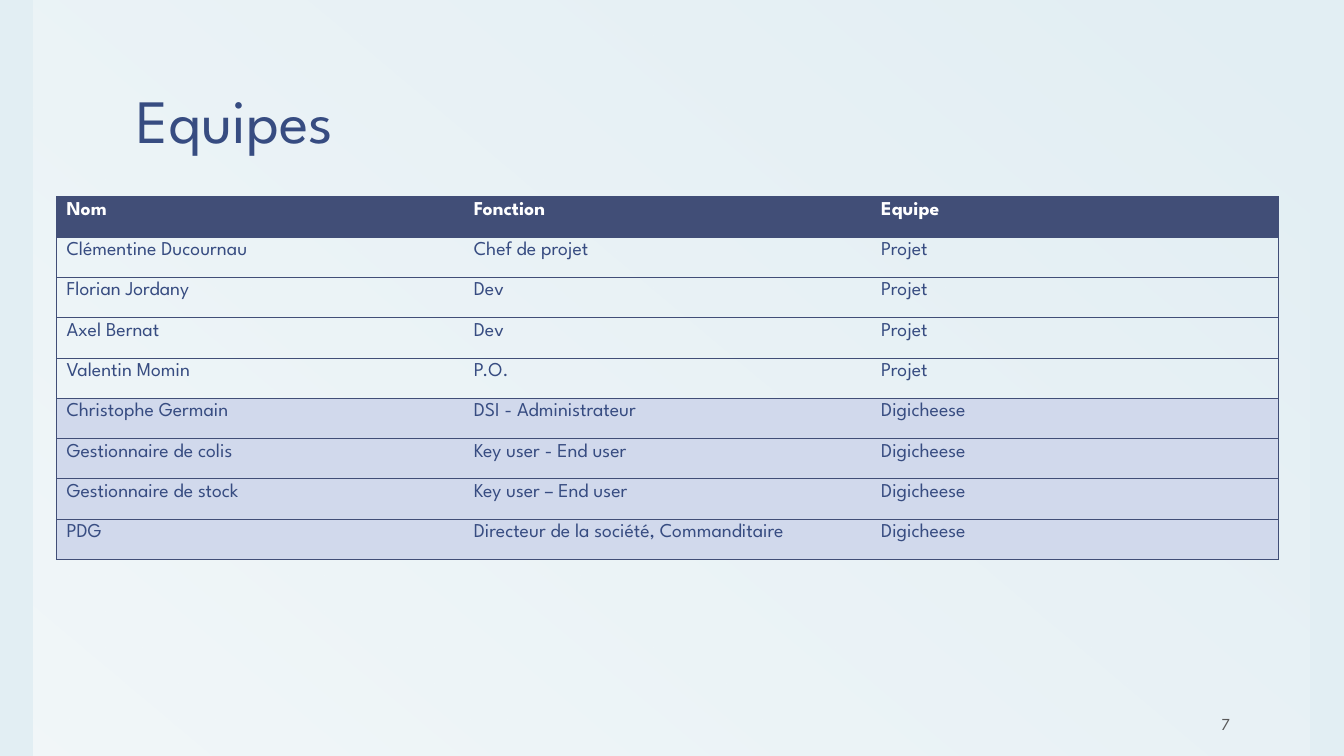
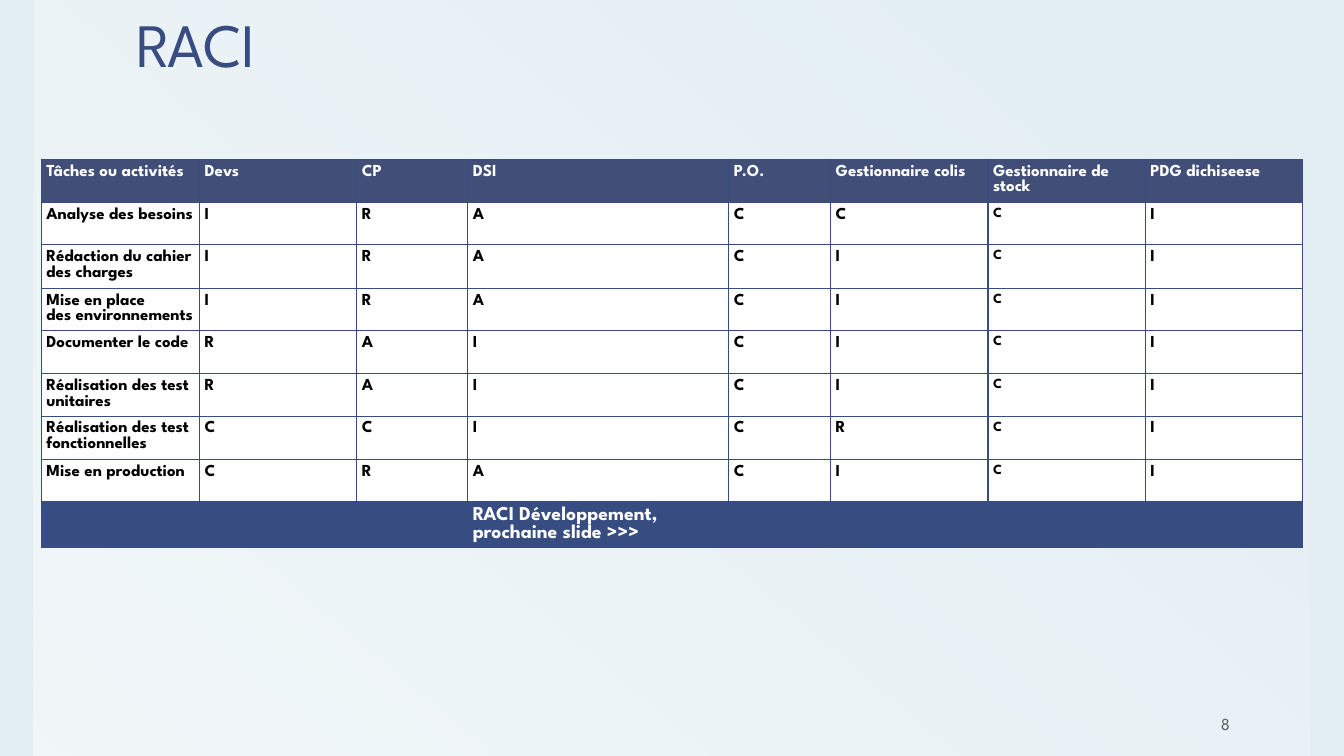
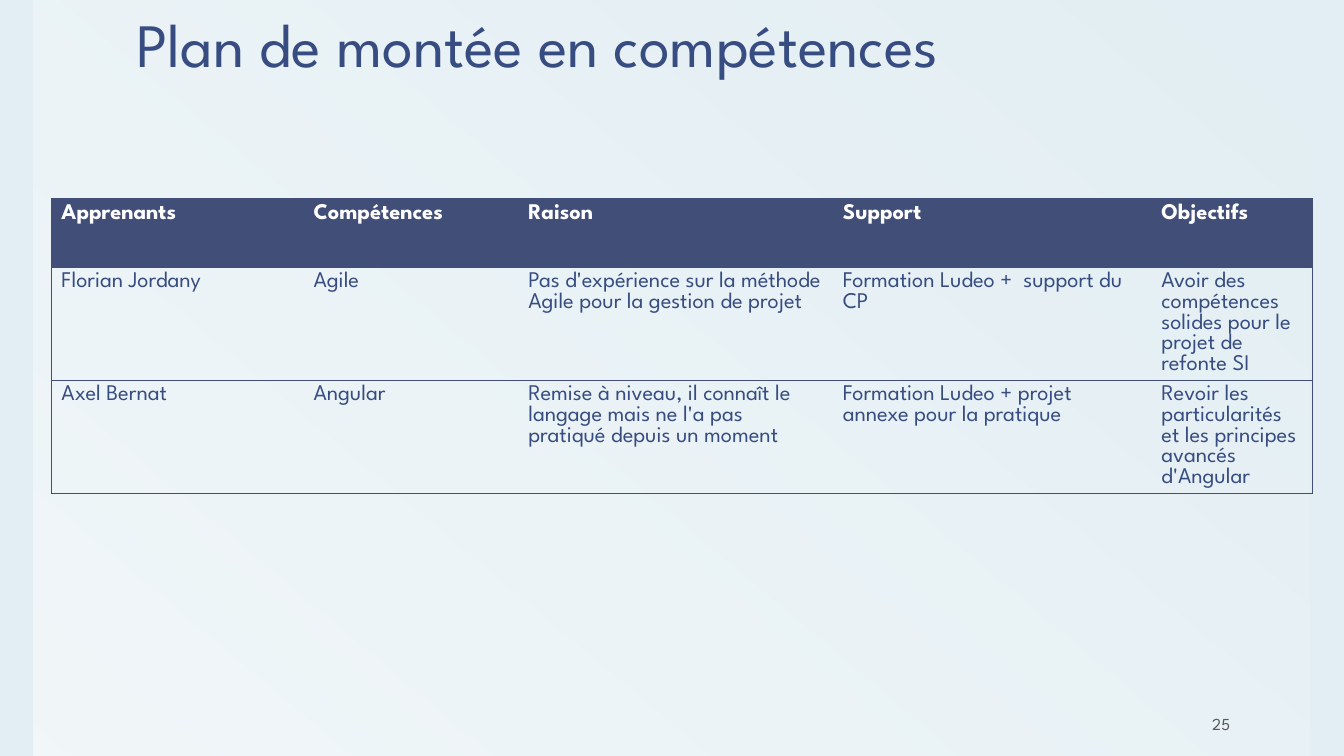
"""Build three project slides: teams, RACI matrix and training plan."""
import pptx
import pptx.dml.color
import pptx.enum.shapes
import pptx.enum.text
import pptx.oxml
import pptx.oxml.ns
import pptx.util

Inches = pptx.util.Inches
Pt = pptx.util.Pt
RGBColor = pptx.dml.color.RGBColor
Align = pptx.enum.text.PP_ALIGN
Anchor = pptx.enum.text.MSO_ANCHOR
qn = pptx.oxml.ns.qn

FONT = "League Spartan"
LINE_HEIGHT = 0.92
BACKGROUND = RGBColor(0xE2, 0xEE, 0xF3)
NAVY = RGBColor(0x37, 0x4C, 0x81)
HEADER = RGBColor(0x41, 0x4E, 0x77)
LAVENDER = RGBColor(0xD1, 0xD9, 0xEC)
GRAY = RGBColor(0x59, 0x59, 0x59)
WHITE = RGBColor(0xFF, 0xFF, 0xFF)
BLACK = RGBColor(0x00, 0x00, 0x00)
PLAIN_TABLE_STYLE = "{2D5ABB26-0587-4C30-8999-92F81FD0307C}"

TEAM_ROWS = [
    ["Nom", "Fonction", "Equipe"],
    ["Clémentine Ducournau", "Chef de projet", "Projet"],
    ["Florian Jordany", "Dev", "Projet"],
    ["Axel Bernat", "Dev", "Projet"],
    ["Valentin Momin", "P.O.", "Projet"],
    ["Christophe Germain", "DSI - Administrateur", "Digicheese"],
    ["Gestionnaire de colis", "Key user - End user", "Digicheese"],
    ["Gestionnaire de stock", "Key user – End user", "Digicheese"],
    ["PDG", "Directeur de la société, Commanditaire", "Digicheese"],
]
RACI_ROWS = [
    ["Tâches ou activités", "Devs", "CP", "DSI", "P.O.", "Gestionnaire colis",
     "Gestionnaire de stock", "PDG dichiseese"],
    ["Analyse des besoins", *"IRACCCI"],
    ["Rédaction du cahier des charges", *"IRACICI"],
    ["Mise en place\ndes environnements", *"IRACICI"],
    ["Documenter le code", *"RAICICI"],
    ["Réalisation des test unitaires", *"RAICICI"],
    ["Réalisation des test fonctionnelles", *"CCICRCI"],
    ["Mise en production", *"CRACICI"],
    ["", "", "", "RACI Développement, prochaine slide >>>", "", "", "", ""],
]
TRAINING_ROWS = [
    ["Apprenants", "Compétences", "Raison", "Support", "Objectifs"],
    ["Florian Jordany", "Agile",
     "Pas d'expérience sur la méthode Agile pour la gestion de projet",
     "Formation Ludeo +  support du CP",
     "Avoir des compétences solides pour le projet de refonte SI"],
    ["Axel Bernat", "Angular",
     "Remise à niveau, il connaît le langage mais ne l'a pas pratiqué depuis un moment",
     "Formation Ludeo + projet annexe pour la pratique",
     "Revoir les particularités et les principes avancés d'Angular"],
]

SLIDES = [
    dict(title="Equipes", title_bottom=1.62, number="7", rows=TEAM_ROWS, left=0.56, top=1.95,
         widths=[4.04] * 3, heights=[0.4] * 9, size=14, text=NAVY, bold=False,
         fills=[HEADER] + [None] * 4 + [LAVENDER] * 4, line=HEADER, line_width=0.5, grid=False),
    dict(title="RACI", title_bottom=0.86, number="8", rows=RACI_ROWS, left=0.41, top=1.58,
         widths=[1.57, 1.56, 1.1, 2.59, 1.01, 1.56, 1.56, 1.56],
         heights=[0.43, 0.42] * 4 + [0.46],
         size=12, text=BLACK, bold=True, fills=[HEADER] + [WHITE] * 7 + [NAVY],
         line=NAVY, line_width=1, grid=True),
    dict(title="Plan de montée en compétences", title_bottom=0.86, number="25",
         rows=TRAINING_ROWS, left=0.51, top=1.97, widths=[2.5, 2.13, 3.12, 3.16, 1.6],
         heights=[0.68, 1.12, 1.12], size=16, text=NAVY, bold=False,
         fills=[HEADER, None, None], line=HEADER, line_width=0.5, grid=False),
]


def write(frame, text, size, color, bold=False):
    """Put styled text in the first paragraph and return the paragraph."""
    para = frame.paragraphs[0]
    for index, line in enumerate(text.split("\n")):
        if index:
            para.add_line_break()
        span = para.add_run()
        span.text = line
        span.font.name = FONT
        span.font.size = Pt(size)
        span.font.color.rgb = color
        span.font.bold = bold
    return para


def add_text_box(page, left, bottom, width, height, text, size, color):
    """Add a bottom-anchored text box and return its paragraph."""
    box = page.shapes.add_textbox(Inches(left), Inches(bottom - height),
                                  Inches(width), Inches(height))
    frame = box.text_frame
    frame.word_wrap = True
    frame.vertical_anchor = Anchor.BOTTOM
    frame.margin_left = frame.margin_right = Inches(0.13)
    frame.margin_top = frame.margin_bottom = Inches(0.07)
    return write(frame, text, size, color)


deck = pptx.Presentation()
deck.slide_width = Inches(13.33)
deck.slide_height = Inches(7.5)
master_fill = deck.slide_master.background.fill
master_fill.solid()
master_fill.fore_color.rgb = BACKGROUND

for content in SLIDES:
    page = deck.slides.add_slide(deck.slide_layouts[6])

    veil = page.shapes.add_shape(pptx.enum.shapes.MSO_SHAPE.RECTANGLE,
                                 Inches(0.33), Inches(0), Inches(12.66), Inches(7.5))
    veil.shadow.inherit = False
    veil.line.fill.background()
    veil.fill.gradient()
    veil.fill.gradient_angle = 230
    for stop in veil.fill.gradient_stops:
        stop.color.rgb = WHITE
    for color, opacity in zip(veil.element.spPr.iter(qn("a:srgbClr")), (0, 55000)):
        color.append(pptx.oxml.parse_xml(
            f'<a:alpha {pptx.oxml.ns.nsdecls("a")} val="{opacity}"/>'))

    title = add_text_box(page, 1.22, content["title_bottom"], 11.11, 0.77,
                         content["title"], 44, NAVY)
    title.line_spacing = 0.85
    number = add_text_box(page, 11.12, 7.35, 1.21, 0.35, content["number"], 12, GRAY)
    number.alignment = Align.RIGHT

    rows, widths, heights = content["rows"], content["widths"], content["heights"]
    grid = content["grid"]
    table = page.shapes.add_table(len(rows), len(widths), Inches(content["left"]),
                                  Inches(content["top"]), Inches(sum(widths)),
                                  Inches(sum(heights))).table
    table.horz_banding = False
    table._tbl.tblPr.find(qn("a:tableStyleId")).text = PLAIN_TABLE_STYLE
    for column, width in zip(table.columns, widths):
        column.width = Inches(width)

    for row_index, (values, height, fill) in enumerate(zip(rows, heights, content["fills"])):
        table.rows[row_index].height = Inches(height)
        header = row_index == 0
        closing = fill == NAVY
        for column_index, value in enumerate(values):
            cell = table.cell(row_index, column_index)
            if grid:
                cell.margin_left = cell.margin_right = Inches(0.05)
                cell.margin_top = cell.margin_bottom = Inches(0.05)
            if fill is None:
                cell.fill.background()
            else:
                cell.fill.solid()
                cell.fill.fore_color.rgb = fill
            if value:
                size = content["size"]
                if closing:
                    size = 14
                elif grid and column_index == 6 and not header:
                    size = 10
                color = WHITE if header or closing else content["text"]
                para = write(cell.text_frame, value, size, color, header or content["bold"])
                para.line_spacing = Pt(size * LINE_HEIGHT)

            if closing:
                continue
            sides = "TB"
            if grid or column_index == 0:
                sides += "L"
            if grid or column_index == len(widths) - 1:
                sides += "R"
            borders = [side for side in "LRTB" if side in sides]
            for position, side in enumerate(borders):
                cell._tc.get_or_add_tcPr().insert(position, pptx.oxml.parse_xml(
                    f'<a:ln{side} {pptx.oxml.ns.nsdecls("a")} w="{Pt(content["line_width"])}">'
                    f'<a:solidFill><a:srgbClr val="{content["line"]}"/></a:solidFill>'
                    f'</a:ln{side}>'))

deck.save("out.pptx")
